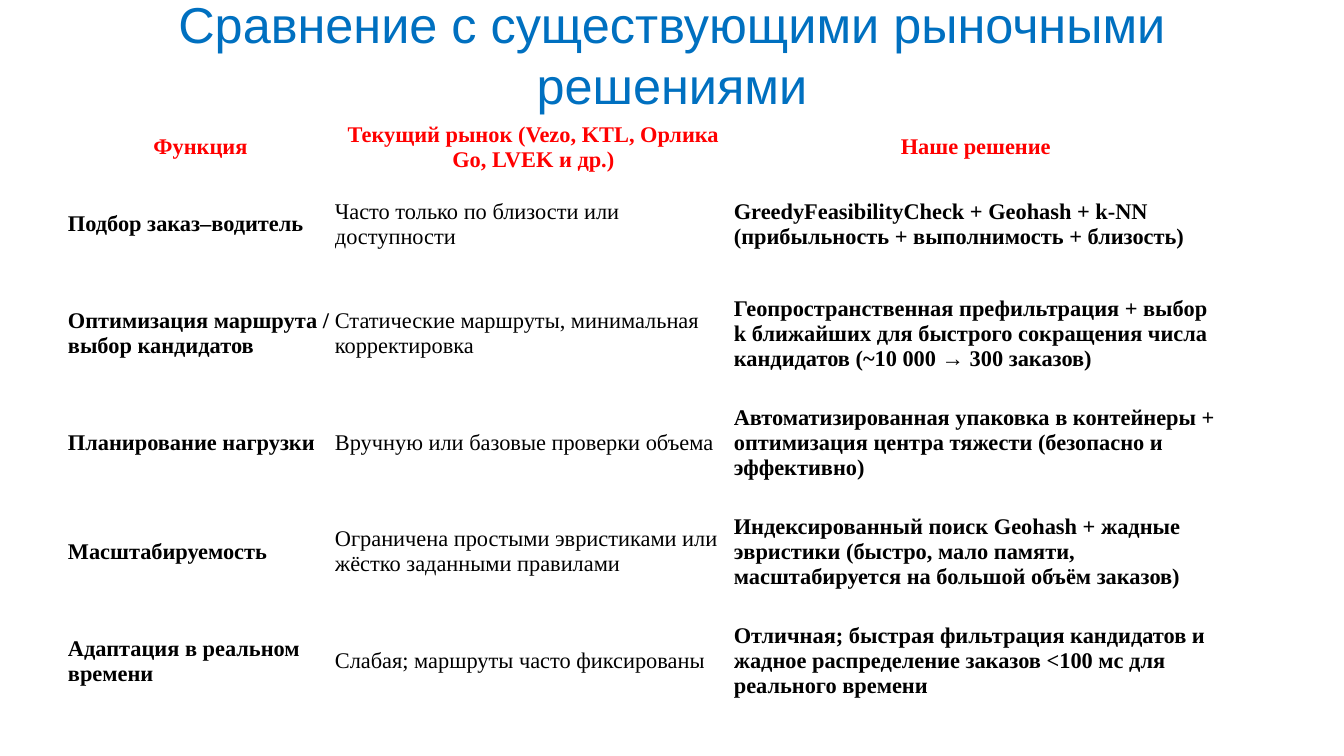
"""Builds a slide comparing existing market services with our solution."""
from pptx import Presentation
from pptx import util as u
from pptx.dml import color
from pptx.enum import text

COLORS = {"title": "0070C0", "header": "FF0000", "body": "000000"}
CENTER, LEFT = text.PP_ALIGN.CENTER, text.PP_ALIGN.LEFT
COLUMNS = [267, 399, 486]
ROWS = [60, 94, 125, 93, 125, 94]
COMPARISON = [
    ("Функция", "Текущий рынок (Vezo, KTL, Орлика Go, LVEK и др.)", "Наше решение"),
    ("Подбор заказ–водитель", "Часто только по близости или доступности",
     "GreedyFeasibilityCheck + Geohash + k-NN (прибыльность + выполнимость + близость)"),
    ("Оптимизация маршрута / выбор кандидатов",
     "Статические маршруты, минимальная корректировка",
     "Геопространственная префильтрация + выбор k ближайших для быстрого "
     "сокращения числа кандидатов (~10 000 → 300 заказов)"),
    ("Планирование нагрузки", "Вручную или базовые проверки объема",
     "Автоматизированная упаковка в контейнеры + оптимизация центра тяжести "
     "(безопасно и эффективно)"),
    ("Масштабируемость",
     "Ограничена простыми эвристиками или жёстко заданными правилами",
     "Индексированный поиск Geohash + жадные эвристики (быстро, мало памяти, "
     "масштабируется на большой объём заказов)"),
    ("Адаптация в реальном времени", "Слабая; маршруты часто фиксированы",
     "Отличная; быстрая фильтрация кандидатов и жадное распределение заказов "
     "<100 мс для реального времени"),
]


def px(count):
    return u.Emu(round(count * 914400 / 134.4))


def apply(target, values):
    for name, value in values.items():
        setattr(target, name, value)


class Slide:
    def __init__(self, deck):
        self.page = deck.slides.add_slide(deck.slide_layouts[6])
        self.title_font = {"name": "Arial", "size": u.Pt(27), "bold": False}
        self.table_font = {"name": "Times New Roman", "size": u.Pt(12)}
        self.margins = {"margin_left": px(1), "margin_right": px(1),
                        "margin_top": px(1), "margin_bottom": 0,
                        "vertical_anchor": text.MSO_ANCHOR.MIDDLE}

    def add_words(self, frame, words, align, shade, font):
        para = frame.paragraphs[0]
        para.alignment = align
        span = para.add_run()
        span.text = words
        apply(span.font, font)
        span.font.color.rgb = color.RGBColor.from_string(COLORS[shade])

    def title(self, words, left, top, width, height):
        box = self.page.shapes.add_textbox(px(left), px(top), px(width), px(height))
        apply(box.text_frame, {"word_wrap": True,
                               "vertical_anchor": text.MSO_ANCHOR.MIDDLE})
        self.add_words(box.text_frame, words, CENTER, "title", self.title_font)

    def table(self, records, left, top, columns, rows):
        grid = self.page.shapes.add_table(
            len(rows), len(columns), px(left), px(top),
            px(sum(columns)), px(sum(rows))).table
        apply(grid, {"first_row": False, "horz_banding": False})
        for column, width in zip(grid.columns, columns):
            column.width = px(width)
        for row, height in zip(grid.rows, rows):
            row.height = px(height)
        for r, record in enumerate(records):
            align, shade = (LEFT, "body") if r else (CENTER, "header")
            for c, words in enumerate(record):
                cell = grid.cell(r, c)
                cell.fill.background()
                apply(cell, self.margins)
                font = {**self.table_font, "bold": r == 0 or c != 1}
                self.add_words(cell.text_frame, words, align, shade, font)


def main():
    deck = Presentation()
    apply(deck, {"slide_width": px(1344), "slide_height": px(756)})
    slide = Slide(deck)
    slide.title("Сравнение с существующими рыночными решениями", 67, 22, 1210, 64)
    slide.table(COMPARISON, 67, 117, COLUMNS, ROWS)
    deck.save("out.pptx")


if __name__ == "__main__":
    main()
